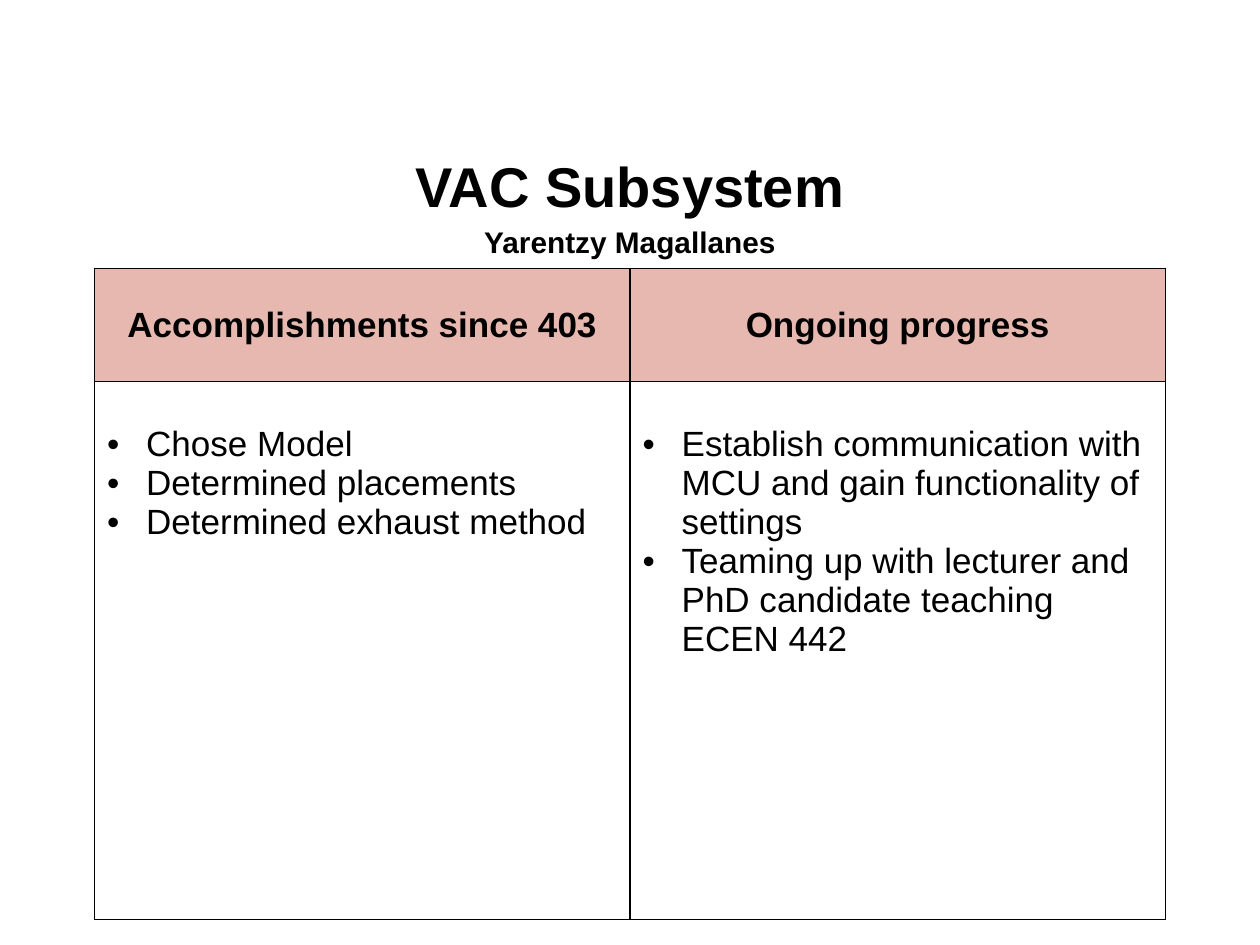
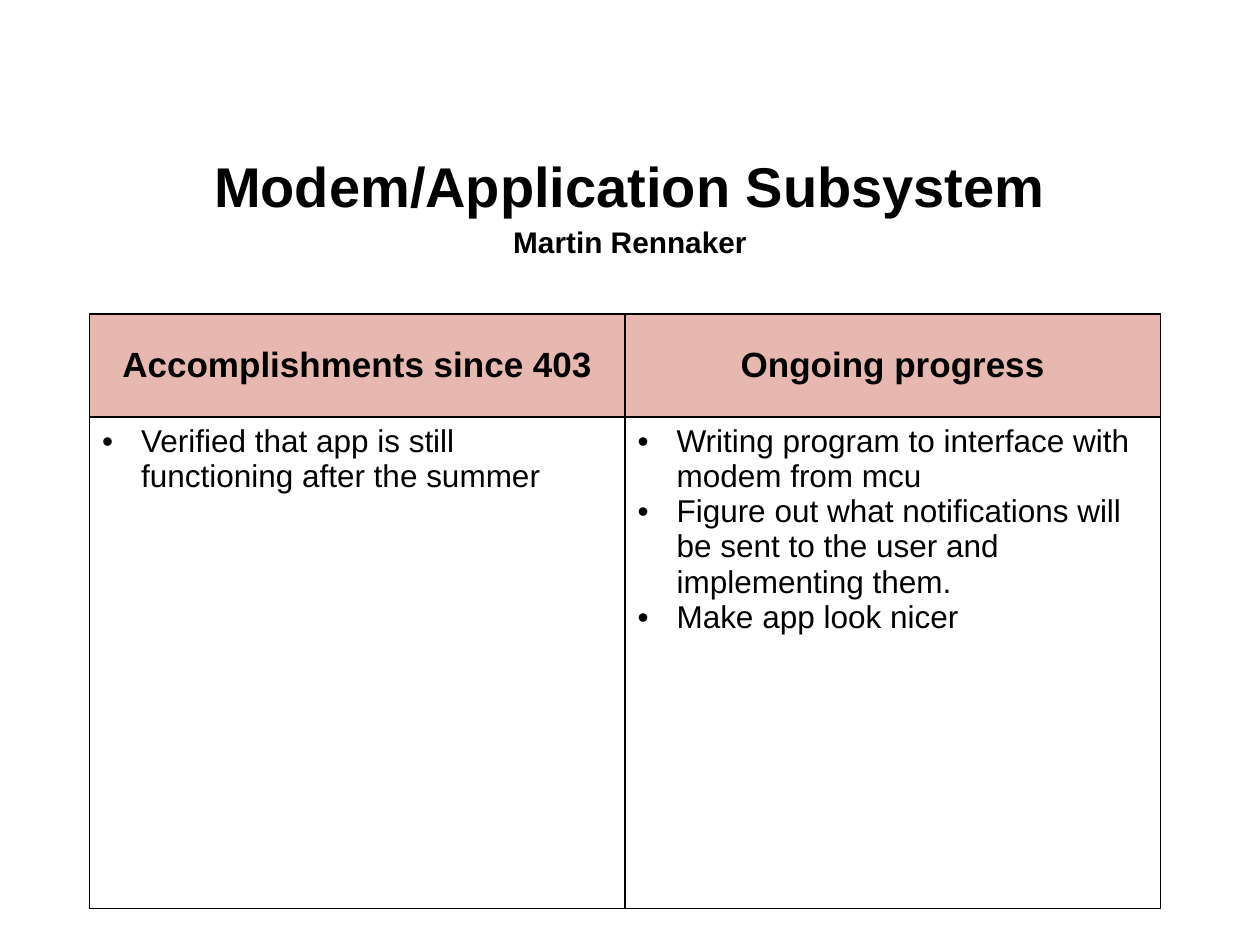
import lxml.etree
import pptx
import pptx.dml.color
import pptx.enum.text
import pptx.oxml.ns
import pptx.util

COLOURS = {"ink": "000000", "header": "E6B8AF", "page": "FFFFFF"}
FONT = "Arial"
SLIDE_W, SLIDE_H = 10, 7.5
TITLE_BOX = (0.5, 1.15, 9, 0.88)
HEADINGS = ("Accomplishments since 403", "Ongoing progress")
HEADER_SHARE = 0.174
INSET_X, INSET_Y = 0.1, 0.05
BULLET_INDENT = 0.31

SUBSYSTEMS = [
    {
        "title": "VAC Subsystem",
        "owner": "Yarentzy Magallanes",
        "box": (0.75, 2.13, 8.5, 5.17),
        "size": 20,
        "top_inset": 0.34,
        "columns": (
            ["Chose Model", "Determined placements", "Determined exhaust method"],
            [
                "Establish communication with MCU and gain functionality of settings",
                "Teaming up with lecturer and PhD candidate teaching ECEN 442",
            ],
        ),
    },
    {
        "title": "Modem/Application Subsystem",
        "owner": "Martin Rennaker",
        "box": (0.71, 2.49, 8.5, 4.72),
        "size": 18,
        "top_inset": INSET_Y,
        "columns": (
            ["Verified that app is still functioning after the summer"],
            [
                "Writing program to interface with modem from mcu",
                "Figure out what notifications will be sent to the user and implementing them.",
                "Make app look nicer",
            ],
        ),
    },
]


def inches(*lengths):
    return [pptx.util.Inches(length) for length in lengths]


def colour(name):
    return pptx.dml.color.RGBColor.from_string(COLOURS[name])


def add_child(parent, tag, **attributes):
    return lxml.etree.SubElement(parent, pptx.oxml.ns.qn(tag), **attributes)


def paragraph_at(frame, index):
    return frame.add_paragraph() if index else frame.paragraphs[0]


def write_run(paragraph, text, size, bold):
    run = paragraph.add_run()
    run.text = text
    run.font.name = FONT
    run.font.size = pptx.util.Pt(size)
    run.font.bold = bold
    run.font.color.rgb = colour("ink")


def make_bullet(paragraph):
    properties = paragraph._p.get_or_add_pPr()
    indent = pptx.util.Inches(BULLET_INDENT)
    properties.set("marL", str(indent))
    properties.set("indent", str(-indent))
    bullet_colour = add_child(properties, "a:buClr")
    add_child(bullet_colour, "a:srgbClr", val=COLOURS["ink"])
    add_child(properties, "a:buFont", typeface=FONT)
    add_child(properties, "a:buChar", char="•")


def style_cell(cell, fill, top_inset=INSET_Y):
    cell.margin_left, cell.margin_right = inches(INSET_X, INSET_X)
    cell.margin_top, cell.margin_bottom = inches(top_inset, INSET_Y)
    cell.fill.solid()
    cell.fill.fore_color.rgb = colour(fill)
    properties = cell._tc.get_or_add_tcPr()
    for position, side in enumerate(("a:lnL", "a:lnR", "a:lnT", "a:lnB")):
        border = add_child(properties, side, w=str(pptx.util.Pt(1)))
        border_fill = add_child(border, "a:solidFill")
        add_child(border_fill, "a:srgbClr", val=COLOURS["ink"])
        properties.insert(position, border)


def write_title(slide, box, title, owner):
    heading = slide.shapes.title
    heading.left, heading.top, heading.width, heading.height = inches(*box)
    frame = heading.text_frame
    frame.auto_size = pptx.enum.text.MSO_AUTO_SIZE.NONE
    frame.vertical_anchor = pptx.enum.text.MSO_ANCHOR.MIDDLE
    for index, (text, size) in enumerate(((title, 32), (owner, 17))):
        paragraph = paragraph_at(frame, index)
        paragraph.alignment = pptx.enum.text.PP_ALIGN.CENTER
        paragraph.line_spacing = 1.15
        write_run(paragraph, text, size, True)


def add_progress_table(slide, box, columns, size, top_inset):
    width, height = box[2:]
    table = slide.shapes.add_table(2, len(columns), *inches(*box)).table
    table.rows[0].height, table.rows[1].height = inches(
        height * HEADER_SHARE, height * (1 - HEADER_SHARE))
    for index, (heading, items) in enumerate(zip(HEADINGS, columns)):
        table.columns[index].width = pptx.util.Inches(width / len(columns))
        header = table.cell(0, index)
        style_cell(header, "header")
        header.vertical_anchor = pptx.enum.text.MSO_ANCHOR.MIDDLE
        paragraph = header.text_frame.paragraphs[0]
        paragraph.alignment = pptx.enum.text.PP_ALIGN.CENTER
        write_run(paragraph, heading, 20, True)
        body = table.cell(1, index)
        style_cell(body, "page", top_inset)
        for position, item in enumerate(items):
            paragraph = paragraph_at(body.text_frame, position)
            make_bullet(paragraph)
            write_run(paragraph, item, size, False)


def add_subsystem_slide(deck, subsystem):
    slide = deck.slides.add_slide(deck.slide_layouts.get_by_name("Title Only"))
    write_title(slide, TITLE_BOX, subsystem["title"], subsystem["owner"])
    add_progress_table(slide, subsystem["box"], subsystem["columns"],
                       subsystem["size"], subsystem["top_inset"])


def main():
    deck = pptx.Presentation()
    deck.slide_width, deck.slide_height = inches(SLIDE_W, SLIDE_H)
    for subsystem in SUBSYSTEMS:
        add_subsystem_slide(deck, subsystem)
    deck.save("out.pptx")


if __name__ == "__main__":
    main()
